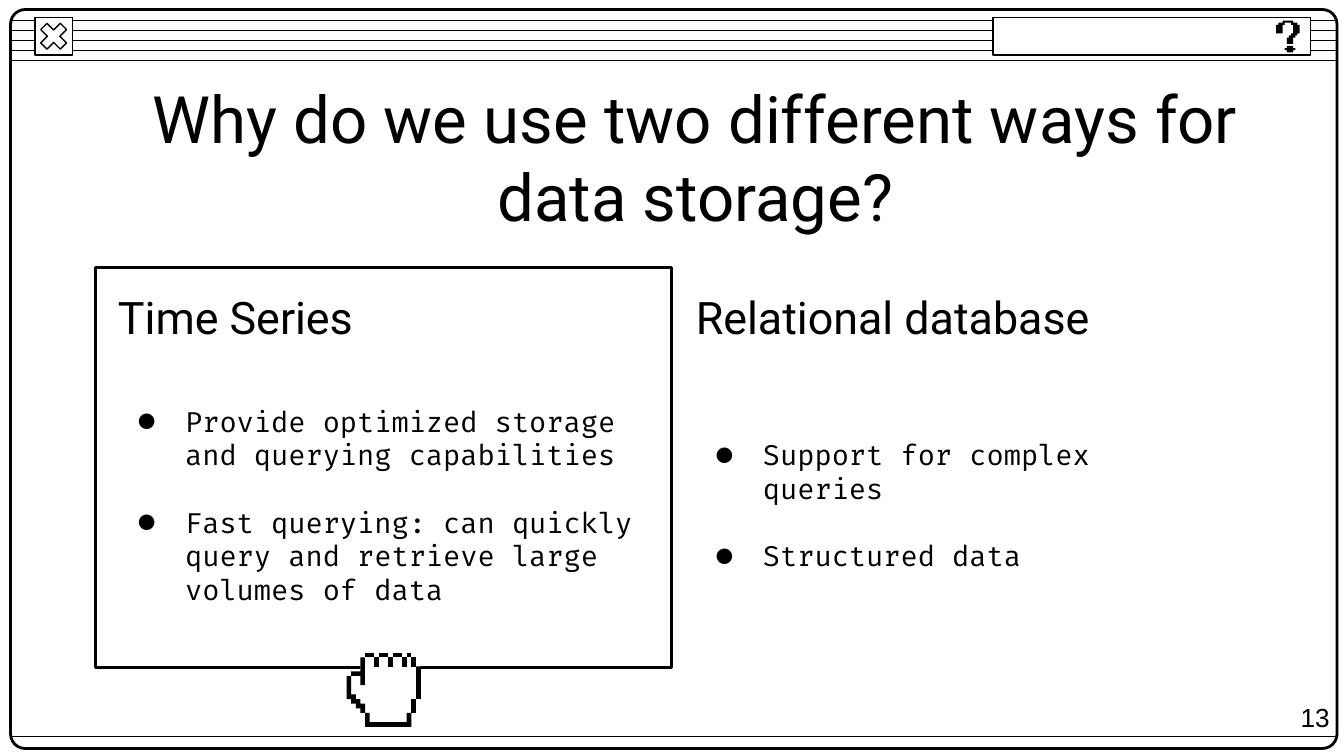
from dataclasses import dataclass

from lxml.etree import SubElement
from pptx import Presentation
from pptx.dml.color import RGBColor
from pptx.enum.shapes import MSO_CONNECTOR, MSO_SHAPE
from pptx.enum.text import MSO_ANCHOR, MSO_AUTO_SIZE, PP_ALIGN
from pptx.oxml.ns import qn
from pptx.util import Cm, Pt


@dataclass(frozen=True)
class Theme:
    ink: RGBColor = RGBColor(0, 0, 0)
    paper: RGBColor = RGBColor(255, 255, 255)
    display_font: str = "Roboto"
    body_font: str = "Fira Code"
    number_font: str = "Arial"
    title_size: float = 35
    heading_size: float = 24
    body_size: float = 15
    number_size: float = 14
    bullet_gap: float = 18
    thin: float = 0.75
    thick: float = 1.5


class SlideBuilder:
    def __init__(self, slide, theme):
        self.slide = slide
        self.theme = theme

    def line(self, x1, y1, x2, y2):
        c = self.slide.shapes.add_connector(
            MSO_CONNECTOR.STRAIGHT, Cm(x1), Cm(y1), Cm(x2), Cm(y2))
        c.line.color.rgb = self.theme.ink
        c.line.width = Pt(self.theme.thin)
        SubElement(c._element.spPr, qn("a:effectLst"))

    def paint(self, sp, fill=None, line_width=None):
        sp.shadow.inherit = False
        if fill is None:
            sp.fill.background()
        else:
            sp.fill.solid()
            sp.fill.fore_color.rgb = fill
        if line_width is None:
            sp.line.fill.background()
        else:
            sp.line.color.rgb = self.theme.ink
            sp.line.width = Pt(line_width)

    def shape(self, kind, box, line_width, fill=None, adj=None):
        sp = self.slide.shapes.add_shape(kind, *map(Cm, box))
        if adj is not None:
            sp.adjustments[0] = adj
        self.paint(sp, fill, line_width)

    def pixels(self, origin, cell, outline, fill):
        """Fill an outline given in grid cells of `cell` cm, counted from origin."""
        builder = self.slide.shapes.build_freeform(*outline[0], scale=Cm(cell))
        builder.add_line_segments(outline[1:], close=True)
        self.paint(builder.convert_to_shape(*map(Cm, origin)), fill)

    def format_text(self, tf, font, size, anchor, align=PP_ALIGN.LEFT):
        tf.auto_size = MSO_AUTO_SIZE.NONE
        tf.vertical_anchor = anchor
        for p in tf.paragraphs:
            p.alignment = align
            for r in p.runs:
                r.font.name = font
                r.font.size = Pt(size)
                r.font.color.rgb = self.theme.ink

    def set_insets(self, tf):
        tf.word_wrap = True
        tf.margin_left = tf.margin_right = tf.margin_top = tf.margin_bottom = Cm(0.25)

    def title(self, text, box):
        sp = self.slide.shapes.title
        sp.left, sp.top, sp.width, sp.height = map(Cm, box)
        tf = sp.text_frame
        tf.text = text
        self.set_insets(tf)
        self.format_text(tf, self.theme.display_font, self.theme.title_size,
                         MSO_ANCHOR.MIDDLE, PP_ALIGN.CENTER)

    def heading(self, text, box):
        tf = self.slide.shapes.add_textbox(*map(Cm, box)).text_frame
        tf.text = text
        self.set_insets(tf)
        self.format_text(tf, self.theme.display_font, self.theme.heading_size,
                         MSO_ANCHOR.TOP)

    def bullets(self, items, box):
        tf = self.slide.shapes.add_textbox(*map(Cm, box)).text_frame
        tf.text = "\n".join(items)
        self.set_insets(tf)
        self.format_text(tf, self.theme.body_font, self.theme.body_size,
                         MSO_ANCHOR.MIDDLE)
        for i, p in enumerate(tf.paragraphs):
            p.space_before = Pt(self.theme.bullet_gap if i else 0)
            pPr = p._p.get_or_add_pPr()
            pPr.set("marL", str(Cm(1.27)))
            pPr.set("indent", str(Cm(-0.89)))
            color = SubElement(pPr, qn("a:buClr"))
            SubElement(color, qn("a:srgbClr"), val=str(self.theme.ink))
            SubElement(pPr, qn("a:buFont"), typeface=self.theme.body_font)
            SubElement(pPr, qn("a:buChar"), char="●")

    def page_number(self, text, box):
        tf = self.slide.shapes.add_textbox(*map(Cm, box)).text_frame
        tf.text = text
        tf.word_wrap = False
        self.format_text(tf, self.theme.number_font, self.theme.number_size,
                         MSO_ANCHOR.TOP)


def cells(x, y, w, h):
    """Corners of a rectangle on the pixel grid."""
    return [(x, y), (x + w, y), (x + w, y + h), (x, y + h)]


QUESTION_HOOK = [
    (3, 0), (3, 1), (1, 1), (1, 2), (0, 2), (0, 6), (3, 6), (3, 2), (4, 2),
    (4, 1), (7, 1), (7, 2), (8, 2), (8, 6), (7, 6), (7, 7), (6, 7), (6, 8),
    (5, 8), (5, 11), (8, 11), (8, 8), (9, 8), (9, 7), (10, 7), (10, 6),
    (11, 6), (11, 2), (10, 2), (10, 1), (8, 1), (8, 0)]
QUESTION_DOT = [
    (5, 12), (5, 13), (4, 13), (4, 14), (5, 14), (5, 15), (8, 15), (8, 14),
    (9, 14), (9, 13), (8, 13), (8, 12)]

HAND_BODY = [
    (4, 0), (4, 1), (3, 1), (3, 4), (1, 4), (1, 5), (0, 5), (0, 10), (1, 10),
    (1, 11), (2, 11), (2, 12), (3, 12), (3, 13), (4, 13), (4, 16), (14, 16),
    (14, 13), (15, 13), (15, 10), (16, 10), (16, 3), (15, 3), (15, 1), (14, 1),
    (14, 0), (13, 0), (13, 1), (12, 1), (12, 0), (10, 0), (10, 1), (9, 1),
    (9, 0), (7, 0), (7, 1), (6, 1), (6, 0)]
HAND_EDGES = [
    *[cells(x, 1, 1, 2) for x in (6, 9, 12, 14)],
    *[cells(x, 0, w, 1) for x, w in ((4, 2), (7, 2), (10, 2), (13, 1))],
    cells(15, 3, 1, 7),
    cells(14, 10, 1, 3),
    [(4, 13), (4, 16), (14, 16), (14, 13), (13, 13), (13, 15), (5, 15), (5, 13)],
    [(3, 1), (3, 4), (1, 4), (1, 5), (3, 5), (3, 7), (4, 7), (4, 1)],
    [(0, 5), (0, 10), (1, 10), (1, 11), (2, 11), (2, 12), (3, 12), (3, 13),
     (4, 13), (4, 11), (3, 11), (3, 10), (2, 10), (2, 9), (1, 9), (1, 5)]]

COLUMNS = [
    ("Time Series",
     ["Provide optimized storage and querying capabilities",
      "Fast querying: can quickly query and retrieve large volumes of data"]),
    ("Relational database",
     ["Support for complex queries", "Structured data"])]


def draw_window(s):
    theme = s.theme
    left, right = 0.2, 25.27
    for i in range(5):
        y = 0.39 + 0.19 * i
        s.line(left, y, right, y)
    s.shape(MSO_SHAPE.ROUNDED_RECTANGLE, (left, 0.18, right - left, 13.97),
            theme.thick, adj=0.02)
    close_box = (0.66, 0.33, 0.71, 0.71)
    s.shape(MSO_SHAPE.RECTANGLE, close_box, theme.thin, theme.paper)
    s.shape(MSO_SHAPE.MATH_MULTIPLY, close_box, theme.thin, theme.paper, 0.235)
    s.line(left, 13.92, right, 13.92)
    s.shape(MSO_SHAPE.RECTANGLE, (18.77, 0.33, 6, 0.71), theme.thin, theme.paper)
    for outline in (QUESTION_DOT, QUESTION_HOOK):
        s.pixels((24.12, 0.39), 0.04, outline, theme.ink)


def draw_hand(s):
    origin, cell = (6.55, 12.34), 1.4 / 16
    s.pixels(origin, cell, HAND_BODY, s.theme.paper)
    for outline in HAND_EDGES:
        s.pixels(origin, cell, outline, s.theme.ink)


def main():
    prs = Presentation()
    prs.slide_width, prs.slide_height = Cm(25.4), Cm(14.29)
    s = SlideBuilder(prs.slides.add_slide(prs.slide_layouts[5]), Theme())
    draw_window(s)
    s.shape(MSO_SHAPE.RECTANGLE, (1.8, 5.05, 10.9, 7.57), s.theme.thick)
    s.title("Why do we use two different ways for data storage?",
            (1.37, 2.16, 23.55, 1.6))
    for i, (heading, items) in enumerate(COLUMNS):
        x = 1.98 + 10.92 * i
        s.heading(heading, (x, 5.23, 10.52, 1.4))
        s.bullets(items, (x, 6.63, 10.52, 5.84))
    draw_hand(s)
    s.page_number("13", (24.33, 13.13, 1.07, 0.86))
    prs.save("out.pptx")


if __name__ == "__main__":
    main()
